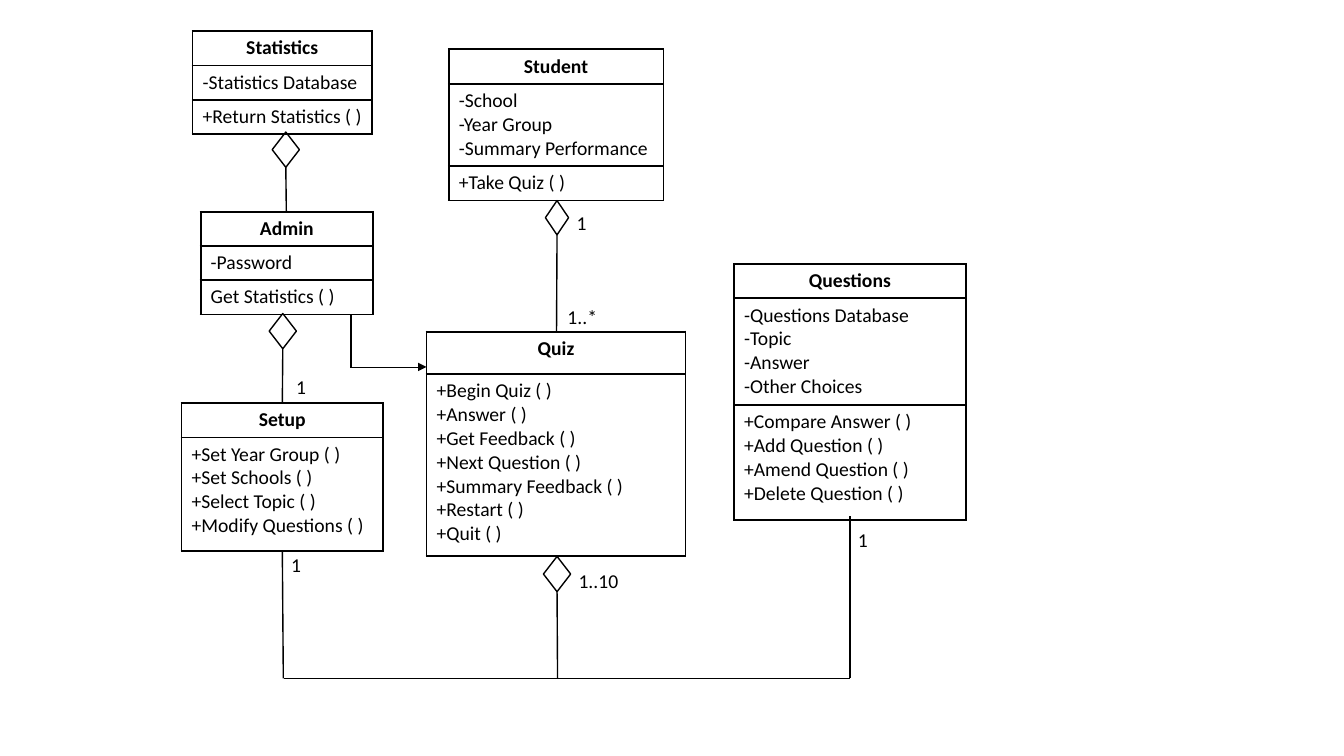
import pptx
import pptx.util
import pptx.dml.color
import pptx.enum.shapes
import pptx.enum.text
import pptx.oxml
import pptx.oxml.ns
from pptx.util import Inches

COLOURS = {"ink": "000000"}
INK = pptx.dml.color.RGBColor.from_string(COLOURS["ink"])
LINE_HEIGHT, CELL_PADDING = 0.24, 0.1

deck = pptx.Presentation()
deck.slide_width, deck.slide_height = Inches(13.33), Inches(7.5)
page = deck.slides.add_slide(deck.slide_layouts[6])


def style_text(frame, bold=False):
    for para in frame.paragraphs:
        for span in para.runs:
            span.font.name = "Calibri"
            span.font.size = pptx.util.Pt(14)
            span.font.bold = bold
            span.font.color.rgb = INK


def add_line(start, end, width=1):
    line = page.shapes.add_connector(
        pptx.enum.shapes.MSO_CONNECTOR.STRAIGHT, *map(Inches, start + end))
    line.line.color.rgb = INK
    line.line.width = pptx.util.Pt(width)
    line._element.spPr.append(pptx.oxml.parse_xml(
        f"<a:effectLst {pptx.oxml.ns.nsdecls('a')}/>"))
    return line


# Classes: left, top, width, sections, smallest height of the last row
classes = [
    (1.91, 0.31, 1.78, ["Statistics", "-Statistics Database", "+Return Statistics ( )"], 0),
    (4.45, 0.49, 2.13, ["Student", "-School\n-Year Group\n-Summary Performance",
                        "+Take Quiz ( )"], 0),
    (1.99, 2.1, 1.71, ["Admin", "-Password", "Get Statistics ( )"], 0),
    (4.23, 3.29, 2.57, ["Quiz", "+Begin Quiz ( )\n+Answer ( )\n+Get Feedback ( )\n"
                        "+Next Question ( )\n+Summary Feedback ( )\n+Restart ( )\n"
                        "+Quit ( )"], 1.81),
    (7.28, 2.62, 2.3, ["Questions", "-Questions Database\n-Topic\n-Answer\n-Other Choices",
                       "+Compare Answer ( )\n+Add Question ( )\n+Amend Question ( )\n"
                       "+Delete Question ( )"], 1.14),
    (1.8, 4, 2, ["Setup", "+Set Year Group ( )\n+Set Schools ( )\n+Select Topic ( )\n"
                 "+Modify Questions ( )"], 1.13),
]
for left, top, width, sections, last_height in classes:
    heights = [LINE_HEIGHT * len(text.split("\n")) + CELL_PADDING for text in sections]
    heights[-1] = max(heights[-1], last_height)
    if sections[0] == "Quiz":
        heights[0] = 0.42
    table = page.shapes.add_table(len(sections), 1, Inches(left), Inches(top),
                                  Inches(width), Inches(sum(heights))).table
    table.first_row = table.horz_banding = False
    for index, text in enumerate(sections):
        table.rows[index].height = Inches(heights[index])
        cell = table.cell(index, 0)
        cell.text_frame.text = text
        style_text(cell.text_frame, bold=index == 0)
        if index == 0:
            cell.text_frame.paragraphs[0].alignment = pptx.enum.text.PP_ALIGN.CENTER
        # Borders come before the fill in the cell properties
        properties = cell._tc.get_or_add_tcPr()
        for side in "LRTB":
            properties.append(pptx.oxml.parse_xml(
                f'<a:ln{side} {pptx.oxml.ns.nsdecls("a")} w="19050"><a:solidFill>'
                f'<a:srgbClr val="{COLOURS["ink"]}"/></a:solidFill></a:ln{side}>'))
        cell.fill.background()

# Aggregations: diamond left, top, width, height, and the end of its line
aggregations = [
    (2.7, 1.31, 0.27, 0.35, (2.84, 2.1)),
    (5.41, 1.99, 0.23, 0.34, (5.52, 3.29)),
    (2.67, 3.11, 0.27, 0.35, (2.8, 4)),
    (5.39, 5.52, 0.27, 0.35, (5.53, 6.73)),
]
for left, top, width, height, end in aggregations:
    diamond = page.shapes.add_shape(
        pptx.enum.shapes.MSO_SHAPE.FLOWCHART_DECISION,
        Inches(left), Inches(top), Inches(width), Inches(height))
    diamond.shadow.inherit = False
    diamond.fill.background()
    diamond.line.color.rgb = INK
    diamond.line.width = pptx.util.Pt(1)
    add_line((left + width / 2, top + height), end).begin_connect(diamond, 2)

# Shared line from Setup and Questions to Quiz
add_line((2.8, 5.46), (2.81, 6.73))
add_line((2.82, 6.73), (8.43, 6.73))
add_line((8.43, 5.12), (8.43, 6.73))

# Arrow from Admin to Quiz
add_line((3.48, 3.12), (3.48, 3.65))
arrow = add_line((3.48, 3.64), (4.23, 3.64), 0.5)
arrow.line._get_or_add_ln().append(pptx.oxml.parse_xml(
    f'<a:tailEnd {pptx.oxml.ns.nsdecls("a")} type="triangle"/>'))

# Multiplicities
multiplicities = [
    ("1", 5.62, 2.04, 0.27), ("1..*", 5.53, 2.98, 0.63), ("1", 2.84, 3.67, 0.27),
    ("1", 8.41, 5.19, 0.27), ("1", 2.79, 5.44, 0.27), ("1..10", 5.64, 5.59, 0.63),
]
for text, left, top, width in multiplicities:
    box = page.shapes.add_textbox(Inches(left), Inches(top), Inches(width), Inches(0.34))
    box.text_frame.word_wrap = True
    box.text_frame.text = text
    style_text(box.text_frame)

deck.save("out.pptx")
